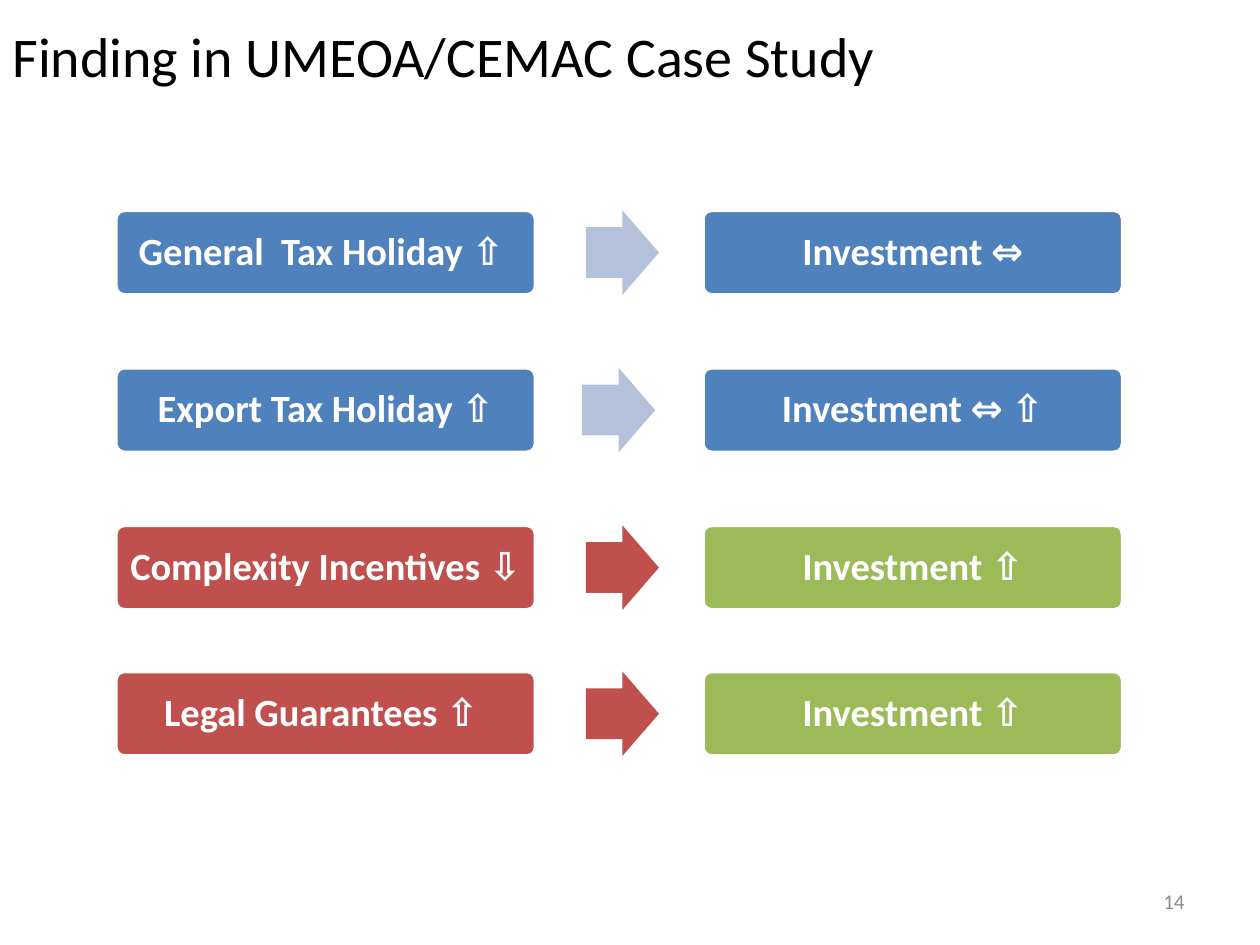
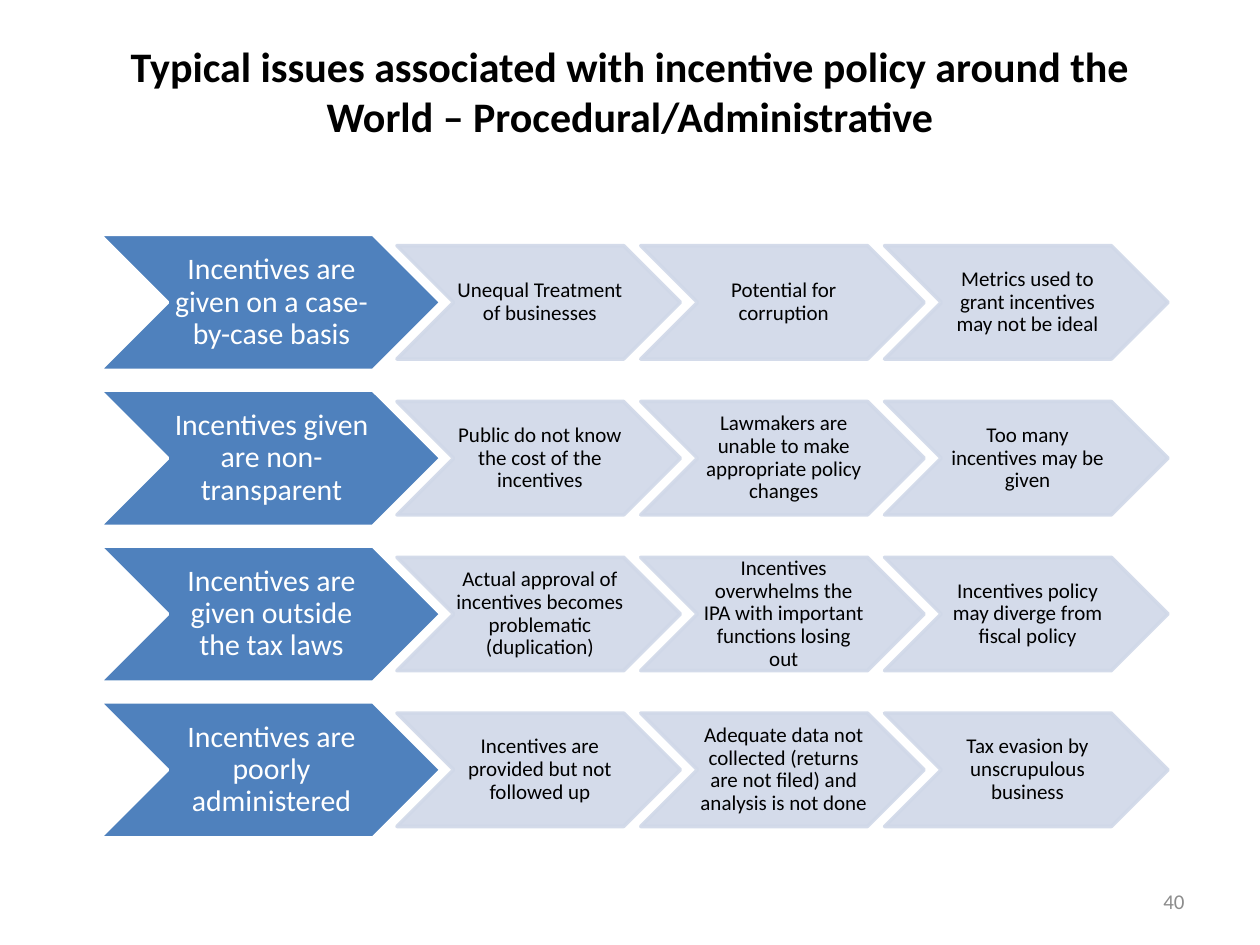
"""Builds two slides on tax incentives: case study findings and procedural issues."""
from lxml import etree
from pptx import Presentation
from pptx.dml.color import RGBColor
from pptx.enum import shapes, text
from pptx.oxml.ns import qn
from pptx.util import Inches, Pt

FONT = "Calibri"
BLACK = RGBColor(0x00, 0x00, 0x00)
WHITE = RGBColor(0xFF, 0xFF, 0xFF)
GREY = RGBColor(0x8C, 0x8C, 0x8C)
BLUE = RGBColor(0x4F, 0x81, 0xBD)
RED = RGBColor(0xC0, 0x50, 0x4D)
GREEN = RGBColor(0x9B, 0xBB, 0x59)
ARROW_BLUE = RGBColor(0xB3, 0xC1, 0xDB)
PALE_BLUE = RGBColor(0xD0, 0xD8, 0xE8)

LEFT, CENTER, RIGHT = text.PP_ALIGN.LEFT, text.PP_ALIGN.CENTER, text.PP_ALIGN.RIGHT
TOP, MIDDLE = text.MSO_ANCHOR.TOP, text.MSO_ANCHOR.MIDDLE
ROUND_RECT = shapes.MSO_SHAPE.ROUNDED_RECTANGLE
ARROW = shapes.MSO_SHAPE.RIGHT_ARROW
CHEVRON = shapes.MSO_SHAPE.CHEVRON


def write(sp, words, size, color, bold=False, align=CENTER, anchor=MIDDLE,
          insets=(0.1, 0.05, 0.1, 0.05), spacing=1.0):
    tf = sp.text_frame
    tf.word_wrap = True
    tf.vertical_anchor = anchor
    tf.margin_left, tf.margin_top, tf.margin_right, tf.margin_bottom = map(Inches, insets)
    p = tf.paragraphs[0]
    p.text = words
    p.alignment = align
    p.line_spacing = spacing
    font = p.runs[0].font
    font.name, font.size, font.bold = FONT, Pt(size), bold
    font.color.rgb = color


def add_block(s, kind, x, y, w, h, fill, line=None, opacity=100):
    sp = s.shapes.add_shape(kind, Inches(x), Inches(y), Inches(w), Inches(h))
    sp.shadow.inherit = False
    sp.fill.solid()
    sp.fill.fore_color.rgb = fill
    if line is None:
        sp.line.fill.background()
    else:
        sp.line.color.rgb = line
        sp.line.width = Pt(2)
    if opacity < 100:
        for clr in sp.element.spPr.iter(qn("a:srgbClr")):
            etree.SubElement(clr, qn("a:alpha")).set("val", str(opacity * 1000))
    return sp


prs = Presentation()
prs.slide_width, prs.slide_height = Inches(10), Inches(7.5)
blank = prs.slide_layouts[6]
findings, issues = prs.slides.add_slide(blank), prs.slides.add_slide(blank)

for s, number in ((findings, "14"), (issues, "40")):
    sp = s.shapes.add_textbox(Inches(7.17), Inches(6.95), Inches(2.33), Inches(0.4))
    write(sp, number, 12, GREY, align=RIGHT)

sp = findings.shapes.add_textbox(0, 0, Inches(9), Inches(0.87))
write(sp, "Finding in UMEOA/CEMAC Case Study", 32, BLACK, align=LEFT)

sp = issues.shapes.add_textbox(Inches(0.5), Inches(0.3), Inches(9), Inches(1.25))
write(sp, "Typical issues associated with incentive policy around the World"
      " – Procedural/Administrative", 24, BLACK, bold=True, anchor=TOP,
      insets=(0.1, 0.02, 0.1, 0.05))

finding_rows = [
    (1.67, 4.65, "General  Tax Holiday ⇧ ", "Investment ⇔", BLUE, ARROW_BLUE, BLUE),
    (2.92, 4.62, "Export Tax Holiday ⇧", "Investment ⇔ ⇧", BLUE, ARROW_BLUE, BLUE),
    (4.17, 4.65, "Complexity Incentives ⇩ ", "Investment ⇧", RED, RED, GREEN),
    (5.33, 4.65, "Legal Guarantees ⇧ ", "Investment ⇧", RED, RED, GREEN),
]
for y, arrow_x, cause, effect, cause_fill, arrow_fill, effect_fill in finding_rows:
    for x, words, fill in ((0.92, cause, cause_fill), (5.58, effect, effect_fill)):
        sp = add_block(findings, ROUND_RECT, x, y, 3.33, 0.67, fill, WHITE)
        sp.adjustments[0] = 0.1
        write(sp, words, 22, WHITE, bold=True, insets=(0.09,) * 4, spacing=0.9)
    sp = add_block(findings, ARROW, arrow_x, y, 0.58, 0.67, arrow_fill)
    sp.adjustments[0], sp.adjustments[1] = 0.6, 0.5

issue_rows = [
    ("Incentives are given on a case-by-case basis",
     "Unequal Treatment of businesses",
     "Potential for corruption",
     "Metrics used to grant incentives may not be ideal"),
    ("Incentives given are non-transparent",
     "Public do not know the cost of the incentives",
     "Lawmakers are unable to make appropriate policy changes",
     "Too many incentives may be given"),
    ("Incentives are given outside the tax laws",
     "Actual approval of incentives becomes problematic (duplication)",
     "Incentives overwhelms the IPA with important functions losing out",
     "Incentives policy may diverge from fiscal policy"),
    ("Incentives are poorly administered",
     "Incentives are provided but not followed up",
     "Adequate data not collected (returns are not filed) and analysis is not done",
     "Tax evasion by unscrupulous business"),
]
chevron_insets = (0.02, 0.01, 0, 0.01)
row_pitch = (5.57 - 1.86) / 3
column_pitch = (7.02 - 3.15) / 2
for row, (issue, *effects) in enumerate(issue_rows):
    y = 1.86 + row * row_pitch
    sp = add_block(issues, CHEVRON, 0.79, y, 2.71, 1.08, BLUE, WHITE)
    write(sp, issue, 17, WHITE, insets=chevron_insets, spacing=0.9)
    for column, effect in enumerate(effects):
        sp = add_block(issues, CHEVRON, 3.15 + column * column_pitch, y + 0.09,
                       2.25, 0.9, PALE_BLUE, PALE_BLUE, opacity=90)
        write(sp, effect, 12, BLACK, insets=chevron_insets, spacing=0.9)

prs.save("out.pptx")
